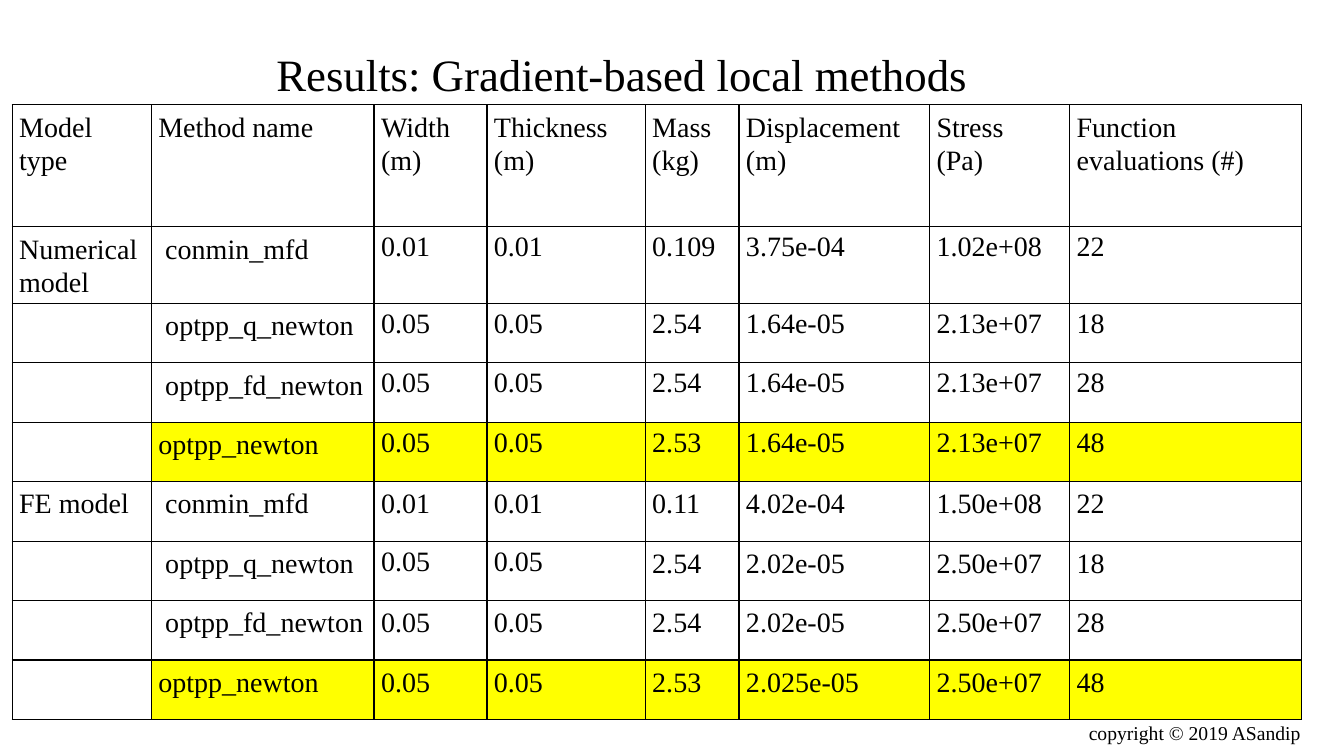
from dataclasses import dataclass
from lxml import etree
from pptx import Presentation
from pptx import util as u
from pptx.dml import color
from pptx.enum import text
from pptx.oxml import ns


@dataclass(frozen=True)
class Theme:
    font: str = "Times New Roman"
    ink: str = "000000"
    plain: str = "FFFFFF"
    mark: str = "FFFF00"
    title: int = 32
    body: int = 20
    note: int = 14
    rule: float = 0.96
    loose: float = 1.07


@dataclass(frozen=True)
class Row:
    cells: tuple[str, ...]
    fill: str | None = None
    tight: range = range(0)


THEME = Theme()
ALL, PAIR = range(2, 8), range(2, 4)
WIDTHS = (1.38, 2.21, 1.12, 1.57, 0.93, 1.89, 1.39, 2.3)
HEIGHTS = (1.21, 0.64) + (0.59,) * 7
MIN, QUASI, FINITE, NEWTON = (
    "\u00a0conmin_mfd", "\u00a0optpp_q_newton", "\u00a0optpp_fd_newton", "optpp_newton")
ROWS = (
    Row(("Model type", "Method name", "Width\n(m)", "Thickness\n(m)", "Mass\n(kg)",
         "Displacement\n(m)", "Stress\n(Pa)", "Function evaluations (#)")),
    Row(("Numerical model", MIN, "0.01", "0.01", "0.109", "3.75e-04", "1.02e+08", "22"),
        THEME.plain, ALL),
    Row(("", QUASI, "0.05", "0.05", "2.54", "1.64e-05", "2.13e+07", "18"), tight=ALL),
    Row(("", FINITE, "0.05", "0.05", "2.54", "1.64e-05", "2.13e+07", "28"), tight=ALL),
    Row(("", NEWTON, "0.05", "0.05", "2.53", "1.64e-05", "2.13e+07", "48"), THEME.mark, ALL),
    Row(("FE model", MIN, "0.01", "0.01", "0.11", "4.02e-04", "1.50e+08", "22"), THEME.plain),
    Row(("", QUASI, "0.05", "0.05", "2.54", "2.02e-05", "2.50e+07", "18"), tight=PAIR),
    Row(("", FINITE, "0.05", "0.05", "2.54", "2.02e-05", "2.50e+07", "28")),
    Row(("", NEWTON, "0.05", "0.05", "2.53", "2.025e-05", "2.50e+07", "48"), THEME.mark),
)


def apply(item, form: dict) -> None:
    for name, value in form.items():
        setattr(item, name, value)


def write(frame, words: str, size: int, space: float) -> None:
    frame.text = words
    for para in frame.paragraphs:
        apply(para, {"line_spacing": space, "alignment": text.PP_ALIGN.LEFT})
        apply(para.font, {"name": THEME.font, "size": u.Pt(size), "bold": False})
        para.font.color.rgb = color.RGBColor.from_string(THEME.ink)
        for run in para.runs:
            apply(run.font, {"name": THEME.font, "size": u.Pt(size), "bold": False})
            run.font.color.rgb = color.RGBColor.from_string(THEME.ink)


def edge(cell) -> None:
    props = cell._tc.get_or_add_tcPr()
    for side in ("lnL", "lnR", "lnT", "lnB"):
        line = etree.SubElement(props, ns.qn(f"a:{side}"), w=str(u.Pt(THEME.rule)))
        fill = etree.SubElement(line, ns.qn("a:solidFill"))
        etree.SubElement(fill, ns.qn("a:srgbClr"), val=THEME.ink)


def paint(cell, fill: str | None) -> None:
    if fill:
        cell.fill.solid()
        cell.fill.fore_color.rgb = color.RGBColor.from_string(fill)
    else:
        cell.fill.background()


def draw_grid(slide) -> None:
    grid = slide.shapes.add_table(
        len(ROWS), len(WIDTHS), u.Inches(0.12), u.Inches(1.04),
        u.Inches(sum(WIDTHS)), u.Inches(sum(HEIGHTS))).table
    apply(grid, {"first_row": False, "horz_banding": False})
    for band, width in zip(grid.columns, WIDTHS):
        band.width = u.Inches(width)
    for band, height, row in zip(grid.rows, HEIGHTS, ROWS):
        band.height = u.Inches(height)
        for col, (cell, words) in enumerate(zip(band.cells, row.cells)):
            apply(cell, {"margin_left": u.Inches(0.07), "margin_right": u.Inches(0.07),
                         "margin_top": u.Inches(0.05), "margin_bottom": u.Inches(0.05)})
            write(cell.text_frame, words, THEME.body, 1.0 if col in row.tight else THEME.loose)
            edge(cell)
            paint(cell, row.fill if col else None)


def place(shape, left: float, top: float, width: float, height: float) -> None:
    apply(shape, {"left": u.Inches(left), "top": u.Inches(top),
                  "width": u.Inches(width), "height": u.Inches(height)})


def main() -> None:
    deck = Presentation()
    apply(deck, {"slide_width": u.Inches(13.33), "slide_height": u.Inches(7.5)})
    slide = deck.slides.add_slide(deck.slide_layouts[5])
    draw_grid(slide)

    title = slide.shapes.title
    place(title, 2.64, 0.04, 10.57, 1.45)
    write(title.text_frame, "Results: Gradient-based local methods", THEME.title, 0.9)
    title.text_frame.vertical_anchor = text.MSO_ANCHOR.MIDDLE

    note = slide.shapes.add_textbox(0, 0, 0, 0)
    place(note, 10.7, 7.1, 2.31, 0.31)
    write(note.text_frame, "copyright © 2019 ASandip", THEME.note, 1.0)
    note.text_frame.word_wrap = True

    deck.save("out.pptx")


main()
